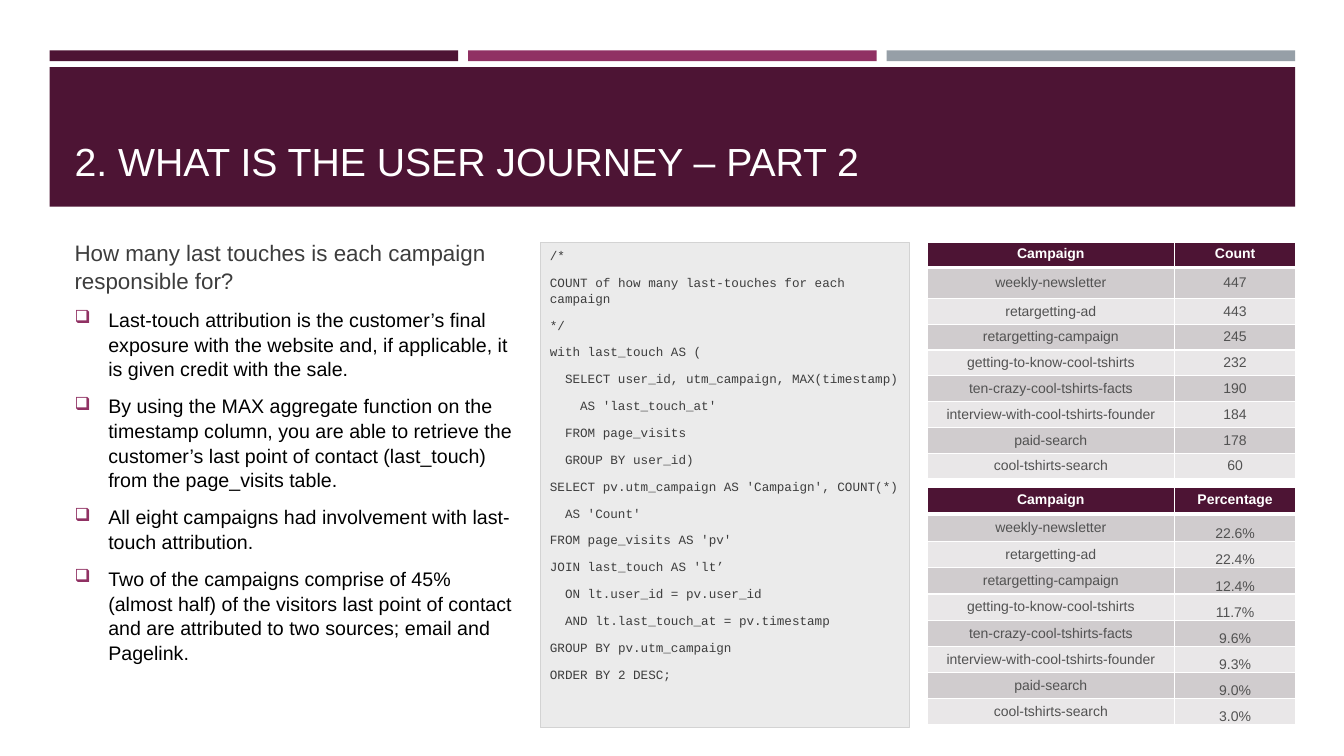
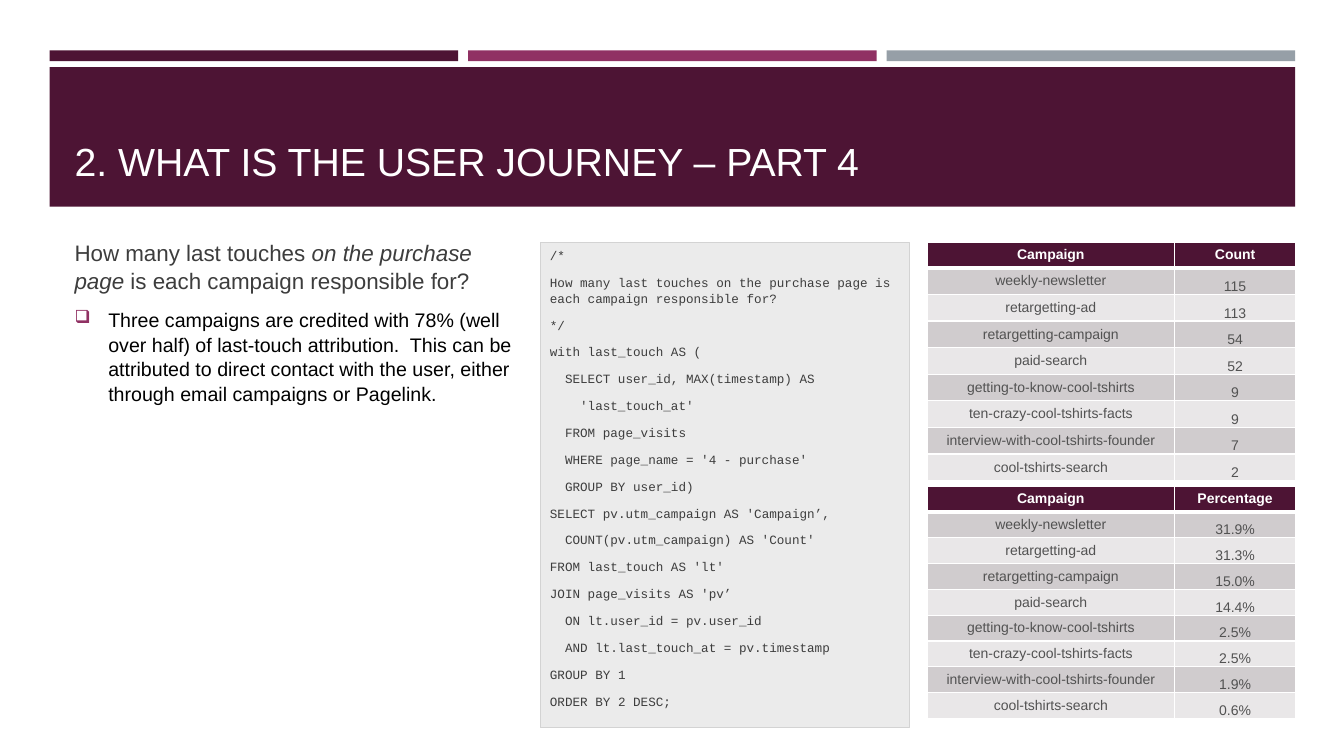
from dataclasses import dataclass

from lxml import etree
from pptx import Presentation
from pptx.dml.color import RGBColor
from pptx.enum.shapes import MSO_SHAPE
from pptx.enum.text import MSO_ANCHOR, PP_ALIGN
from pptx.oxml.ns import qn
from pptx.util import Cm, Pt

RECTANGLE = MSO_SHAPE.RECTANGLE
TOP, MIDDLE, BOTTOM = MSO_ANCHOR.TOP, MSO_ANCHOR.MIDDLE, MSO_ANCHOR.BOTTOM
CENTER, LEFT = PP_ALIGN.CENTER, PP_ALIGN.LEFT


@dataclass(frozen=True)
class Theme:
    plum: str = "4D1434"
    berry: str = "903163"
    steel: str = "969FA7"
    white: str = "FFFFFF"
    black: str = "000000"
    ink: str = "3D3D3D"
    cell_ink: str = "525252"
    panel: str = "EBEBEB"
    panel_line: str = "D3D3D3"
    row_fills: tuple = ("D0CCCE", "E9E7E8")
    sans: str = "Arial"
    mono: str = "Courier New"
    title_size: int = 28
    question_size: int = 16
    bullet_size: int = 14
    table_size: int = 10
    code_size: int = 9


THEME = Theme()

# A question is a list of (text, italic); a code line is (indent level, text).
# Table heights are (header, first row, other rows) in centimetres.
SLIDES = [
    {
        "title": "2. WHAT IS THE USER JOURNEY – PART 2",
        "question": [("How many last touches is each campaign responsible for?", False)],
        "bullets": [
            "Last-touch attribution is the customer’s final exposure with the website and, "
            "if applicable, it is given credit with the sale.",
            "By using the MAX aggregate function on the timestamp column, you are able to "
            "retrieve the customer’s last point of contact (last_touch) from the "
            "page_visits table.",
            "All eight campaigns had involvement with last-touch attribution.",
            "Two of the campaigns comprise of 45% (almost half) of the visitors last point "
            "of contact and are attributed to two sources; email and Pagelink.",
        ],
        "code": [
            (0, "/*"),
            (0, "COUNT of how many last-touches for each campaign"),
            (0, "*/"),
            (0, "with last_touch AS ("),
            (1, "SELECT user_id, utm_campaign, MAX(timestamp)"),
            (2, "AS 'last_touch_at'"),
            (1, "FROM page_visits"),
            (1, "GROUP BY user_id)"),
            (0, "SELECT pv.utm_campaign AS 'Campaign', COUNT(*)"),
            (1, "AS 'Count'"),
            (0, "FROM page_visits AS 'pv'"),
            (0, "JOIN last_touch AS 'lt’"),
            (1, "ON lt.user_id = pv.user_id"),
            (1, "AND lt.last_touch_at = pv.timestamp"),
            (0, "GROUP BY pv.utm_campaign"),
            (0, "ORDER BY 2 DESC;"),
        ],
        "campaigns": [
            ("weekly-newsletter", "447", "22.6%"),
            ("retargetting-ad", "443", "22.4%"),
            ("retargetting-campaign", "245", "12.4%"),
            ("getting-to-know-cool-tshirts", "232", "11.7%"),
            ("ten-crazy-cool-tshirts-facts", "190", "9.6%"),
            ("interview-with-cool-tshirts-founder", "184", "9.3%"),
            ("paid-search", "178", "9.0%"),
            ("cool-tshirts-search", "60", "3.0%"),
        ],
        "tables": [
            {"measure": "Count", "top": 6.1, "heights": (0.64, 0.78, 0.65),
             "header_anchor": TOP, "value_anchor": MIDDLE},
            {"measure": "Percentage", "top": 12.29, "heights": (0.67, 0.69, 0.66),
             "header_anchor": TOP, "value_anchor": BOTTOM},
        ],
    },
    {
        "title": "2. WHAT IS THE USER JOURNEY – PART 4",
        "question": [
            ("How many last touches ", False),
            ("on the purchase page", True),
            (" is each campaign responsible for?", False),
        ],
        "bullets": [
            "Three campaigns are credited with 78% (well over half) of last-touch "
            "attribution.  This can be attributed to direct contact with the user, either "
            "through email campaigns or Pagelink.",
        ],
        "code": [
            (0, "/*"),
            (0, "How many last touches on the purchase page is each campaign responsible for?"),
            (0, "*/"),
            (0, "with last_touch AS ("),
            (1, "SELECT user_id, MAX(timestamp) AS"),
            (2, "'last_touch_at'"),
            (1, "FROM page_visits"),
            (1, "WHERE page_name = '4 - purchase'"),
            (1, "GROUP BY user_id)"),
            (0, "SELECT pv.utm_campaign AS 'Campaign’,"),
            (1, "COUNT(pv.utm_campaign) AS 'Count'"),
            (0, "FROM last_touch AS 'lt'"),
            (0, "JOIN page_visits AS 'pv’"),
            (1, "ON lt.user_id = pv.user_id"),
            (1, "AND lt.last_touch_at = pv.timestamp"),
            (0, "GROUP BY 1"),
            (0, "ORDER BY 2 DESC;"),
        ],
        "campaigns": [
            ("weekly-newsletter", "115", "31.9%"),
            ("retargetting-ad", "113", "31.3%"),
            ("retargetting-campaign", "54", "15.0%"),
            ("paid-search", "52", "14.4%"),
            ("getting-to-know-cool-tshirts", "9", "2.5%"),
            ("ten-crazy-cool-tshirts-facts", "9", "2.5%"),
            ("interview-with-cool-tshirts-founder", "7", "1.9%"),
            ("cool-tshirts-search", "2", "0.6%"),
        ],
        "tables": [
            {"measure": "Count", "top": 6.1, "heights": (0.65, 0.67, 0.67),
             "header_anchor": MIDDLE, "value_anchor": BOTTOM},
            {"measure": "Percentage", "top": 12.25, "heights": (0.65, 0.65, 0.65),
             "header_anchor": MIDDLE, "value_anchor": BOTTOM},
        ],
    },
]

BAND_LEFT, BAND_WIDTH, BAR_GAP = 1.25, 31.39, 0.25
BAR_COLORS = (THEME.plum, THEME.berry, THEME.steel)
TABLE_LEFT, COLUMN_WIDTHS = 23.37, (6.22, 3.07)
BULLET_INDENT, CODE_INDENT = Cm(0.85), Pt(10.8)


def rgb(color):
    return RGBColor.from_string(color)


def style(paragraph, size, color, font=THEME.sans, bold=False, align=LEFT):
    paragraph.font.name = font
    paragraph.font.size = Pt(size)
    paragraph.font.bold = bold
    paragraph.font.color.rgb = rgb(color)
    paragraph.alignment = align


def space_out(paragraph, size):
    paragraph.line_spacing = 1.05
    paragraph.space_before = Pt(0.2 * size)
    paragraph.space_after = Pt(6)


def set_indent(paragraph, left, first=0):
    properties = paragraph._p.get_or_add_pPr()
    properties.set("marL", str(int(left)))
    properties.set("indent", str(int(first)))
    return properties


def add_bullet_mark(paragraph):
    properties = set_indent(paragraph, BULLET_INDENT, -BULLET_INDENT)
    color = etree.SubElement(properties, qn("a:buClr"))
    etree.SubElement(color, qn("a:srgbClr"), val=THEME.berry)
    etree.SubElement(properties, qn("a:buSzPct"), val="92000")
    etree.SubElement(properties, qn("a:buChar"), char="❑")


def add_box(page, left, top, width, height, fill, line=None):
    box = page.shapes.add_shape(RECTANGLE, Cm(left), Cm(top), Cm(width), Cm(height))
    box.shadow.inherit = False
    box.fill.solid()
    box.fill.fore_color.rgb = rgb(fill)
    if line:
        box.line.color.rgb = rgb(line)
        box.line.width = Pt(0.75)
    else:
        box.line.fill.background()
    return box


def add_frame(page, left, top, width, height, anchor=TOP):
    box = page.shapes.add_textbox(Cm(left), Cm(top), Cm(width), Cm(height))
    box.text_frame.word_wrap = True
    box.text_frame.vertical_anchor = anchor
    return box.text_frame


def each_paragraph(frame, items):
    """Yield a paragraph of the frame for each item, using the first one it has."""
    for index, item in enumerate(items):
        yield frame.add_paragraph() if index else frame.paragraphs[0], item


def add_header(page, title):
    bar_width = (BAND_WIDTH - BAR_GAP * (len(BAR_COLORS) - 1)) / len(BAR_COLORS)
    for index, color in enumerate(BAR_COLORS):
        add_box(page, BAND_LEFT + index * (bar_width + BAR_GAP), 1.27, bar_width, 0.27, color)
    add_box(page, BAND_LEFT, 1.69, BAND_WIDTH, 3.52, THEME.plum)
    paragraph = add_frame(page, 1.63, 2.03, 30.63, 2.74, BOTTOM).paragraphs[0]
    paragraph.text = title
    style(paragraph, THEME.title_size, THEME.white)


def add_findings(page, question, bullets):
    frame = add_frame(page, 1.63, 5.87, 11.63, 12.47)
    heading = frame.paragraphs[0]
    style(heading, THEME.question_size, THEME.ink)
    space_out(heading, THEME.question_size)
    for text, italic in question:
        span = heading.add_run()
        span.text = text
        span.font.italic = italic
    for text in bullets:
        paragraph = frame.add_paragraph()
        paragraph.text = text
        style(paragraph, THEME.bullet_size, THEME.black)
        space_out(paragraph, THEME.bullet_size)
        add_bullet_mark(paragraph)


def add_code(page, lines):
    box = add_box(page, 13.61, 6.1, 9.3, 12.24, THEME.panel, THEME.panel_line)
    frame = box.text_frame
    frame.word_wrap = True
    frame.vertical_anchor = TOP
    frame.margin_left = frame.margin_right = Cm(0.25)
    for paragraph, (level, text) in each_paragraph(frame, lines):
        paragraph.text = text
        style(paragraph, THEME.code_size, THEME.ink, THEME.mono)
        space_out(paragraph, THEME.code_size)
        set_indent(paragraph, level * CODE_INDENT)


def add_borders(cell, top, bottom):
    properties = cell._tc.get_or_add_tcPr()
    for side, points in (("L", 1), ("R", 1), ("T", top), ("B", bottom)):
        line = etree.SubElement(properties, qn(f"a:ln{side}"), w=str(int(Pt(points))))
        fill = etree.SubElement(line, qn("a:solidFill"))
        etree.SubElement(fill, qn("a:srgbClr"), val=THEME.white)


def fill_cell(cell, text, row, anchor):
    add_borders(cell, 3 if row == 1 else 1, 3 if row == 0 else 1)
    cell.fill.solid()
    cell.fill.fore_color.rgb = rgb(THEME.row_fills[(row - 1) % 2] if row else THEME.plum)
    cell.vertical_anchor = anchor
    cell.margin_top = cell.margin_bottom = Cm(0.1)
    if anchor == BOTTOM:
        cell.margin_left = cell.margin_right = cell.margin_top = Cm(0.02)
        cell.margin_bottom = 0
    paragraph = cell.text_frame.paragraphs[0]
    paragraph.text = text
    style(paragraph, THEME.table_size, THEME.cell_ink if row else THEME.white,
          bold=row == 0, align=CENTER)


def add_campaign_table(page, records, measure, top, heights, header_anchor, value_anchor):
    rows = [("Campaign", measure), *records]
    header, first, other = heights
    row_heights = [header, first] + [other] * (len(rows) - 2)
    table = page.shapes.add_table(
        len(rows), len(COLUMN_WIDTHS), Cm(TABLE_LEFT), Cm(top),
        Cm(sum(COLUMN_WIDTHS)), Cm(sum(row_heights))).table
    table.horz_banding = False
    for column, width in zip(table.columns, COLUMN_WIDTHS):
        column.width = Cm(width)
    for index, (texts, height) in enumerate(zip(rows, row_heights)):
        table.rows[index].height = Cm(height)
        anchors = (MIDDLE, value_anchor) if index else (header_anchor, header_anchor)
        for cell, text, anchor in zip(table.rows[index].cells, texts, anchors):
            fill_cell(cell, text, index, anchor)


def main():
    deck = Presentation()
    deck.slide_width, deck.slide_height = Cm(33.87), Cm(19.05)
    for content in SLIDES:
        page = deck.slides.add_slide(deck.slide_layouts[6])
        add_header(page, content["title"])
        add_findings(page, content["question"], content["bullets"])
        add_code(page, content["code"])
        for position, table in enumerate(content["tables"], start=1):
            records = [(row[0], row[position]) for row in content["campaigns"]]
            add_campaign_table(page, records, **table)
    deck.save("out.pptx")


if __name__ == "__main__":
    main()
